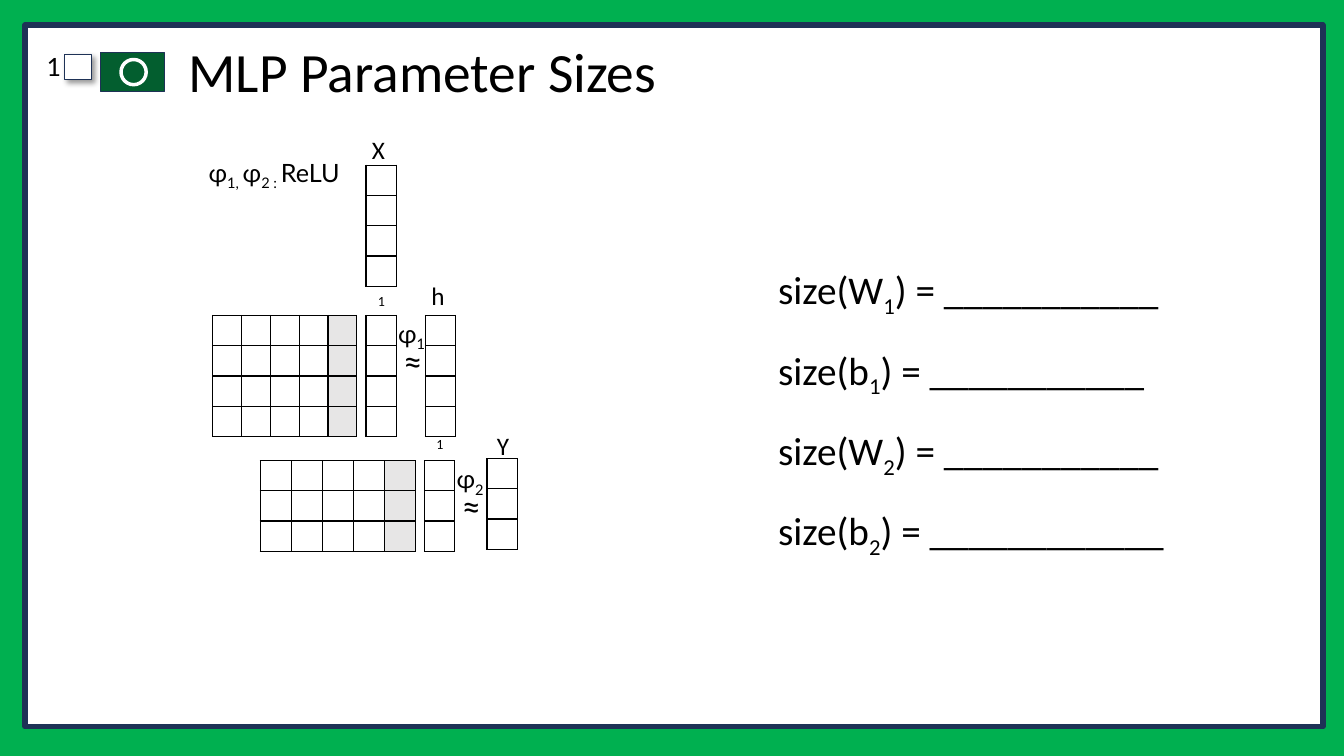
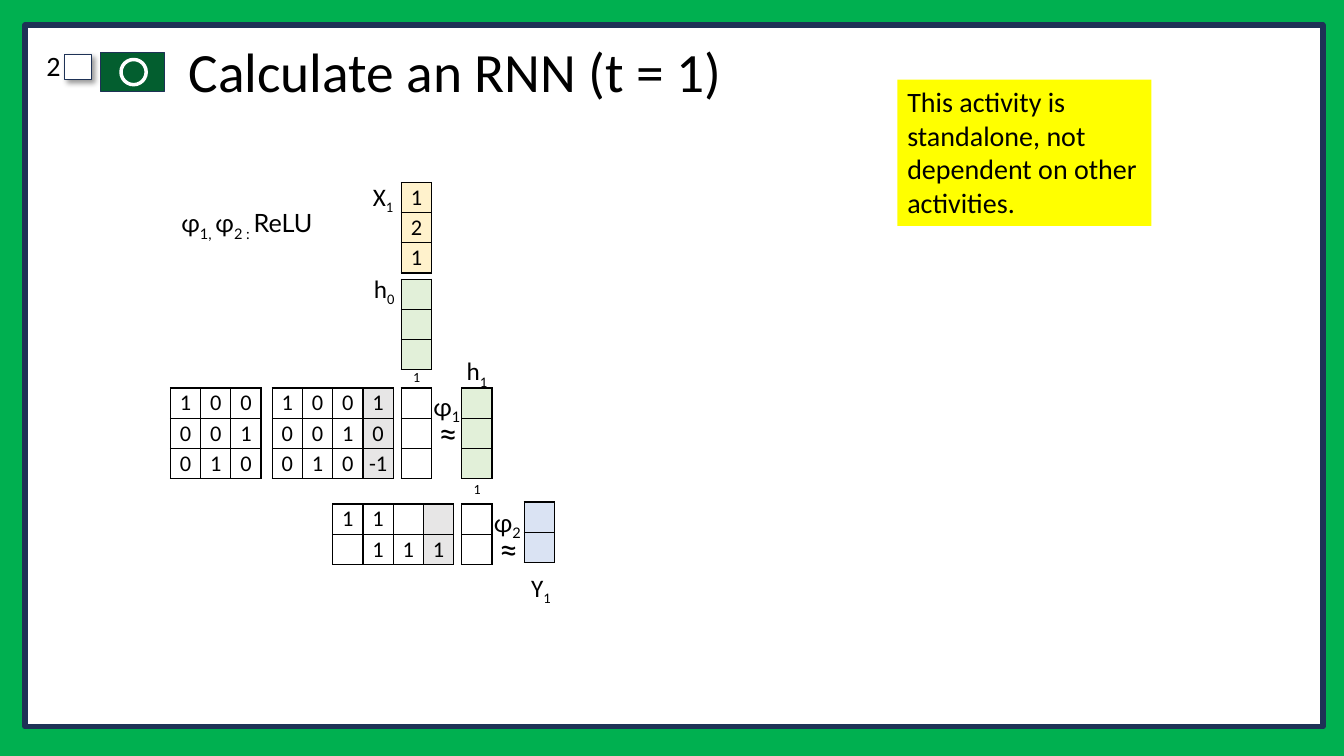
from dataclasses import dataclass

from lxml.etree import SubElement
from pptx import Presentation
from pptx.dml.color import RGBColor as RGB
from pptx.enum.shapes import MSO_SHAPE as SHAPE
from pptx.enum.text import MSO_ANCHOR as ANCHOR, MSO_AUTO_SIZE as AUTO, PP_ALIGN as ALIGN
from pptx.oxml.ns import qn
from pptx.util import Inches, Pt


@dataclass(frozen=True)
class Theme:
    # Colours
    back: str = "00B050"
    paper: str = "FFFFFF"
    navy: str = "1E3256"
    badge: str = "035E2F"
    ink: str = "000000"
    bias: str = "E7E6E6"
    x_fill: str = "FFF2CC"
    h_fill: str = "E2F0D9"
    y_fill: str = "DAE3F3"
    note: str = "FFFF00"
    # Fonts and type sizes
    font: str = "Calibri"
    math_font: str = "Lato"
    title: float = 39.6
    formula: int = 28
    approx: int = 24
    body: int = 20
    label: int = 18
    cell: int = 16
    tiny: int = 10


CELL = 0.3


def rgb(code):
    return RGB.from_string(code)


def blank(rows, cols=1):
    return [[""] * cols for _ in range(rows)]


def digits(*rows):
    """Split rows of space-separated values; a dot is an empty cell."""
    return [[v.replace(".", "") for v in row.split()] for row in rows]


class Deck:
    def __init__(self, theme):
        self.t = theme
        self.prs = Presentation()
        self.prs.slide_width, self.prs.slide_height = Inches(13.33), Inches(7.5)
        self.layout = self.prs.slide_layouts[5]
        self.s = None

    # Slide and shared frame
    def slide(self, title):
        self.s = self.prs.slides.add_slide(self.layout)
        if len(self.prs.slides) == 1:
            self.frame()
        sp = self.s.shapes.title
        sp.left, sp.top, sp.width, sp.height = map(Inches, (1.77, 0.4, 10.65, 0.68))
        tf = sp.text_frame
        tf.auto_size, tf.vertical_anchor = AUTO.NONE, ANCHOR.MIDDLE
        p = tf.paragraphs[0]
        p.alignment, p.line_spacing = ALIGN.LEFT, 0.9
        self.runs(p, title, self.t.title)

    def frame(self):
        """Draw the frame, then move it to the layout that all slides use."""
        t = self.t
        fill = self.layout.background.fill
        fill.solid()
        fill.fore_color.rgb = rgb(t.back)
        paper = self.shape(SHAPE.RECTANGLE, 0.25, 0.25, 12.87, 6.96, t.paper, t.navy, 4)
        box = self.shape(SHAPE.RECTANGLE, 0.64, 0.54, 0.27, 0.25, t.paper, t.navy, 1)
        self.shadow(box)
        badge = self.shape(SHAPE.RECTANGLE, 1, 0.52, 0.63, 0.39, t.badge, t.navy, 1)
        ring = self.shape(SHAPE.OVAL, 1.2, 0.59, 0.25, 0.25, t.badge, t.paper, 2.5)
        number = self.page_number()
        for i, sp in enumerate((paper, box, badge, ring, number)):
            sp.element.nvSpPr.cNvPr.set("id", str(100 + i))
            self.layout.shapes.element.append(sp.element)

    def page_number(self):
        sp = self.text(0, 0.47, 0.7, 0.45, "", self.t.body, spacing=0.9)
        sp.text_frame.auto_size = AUTO.NONE
        p = sp.text_frame.paragraphs[0]
        p.alignment = ALIGN.RIGHT
        fld = SubElement(p._p, qn("a:fld"), type="slidenum",
                         id="{B6F15528-21DE-4FAA-801E-634DDDAF4B2B}")
        rPr = SubElement(fld, qn("a:rPr"), lang="en-US", sz=str(self.t.body * 100))
        color = SubElement(rPr, qn("a:solidFill"))
        SubElement(color, qn("a:srgbClr"), val=self.t.ink)
        SubElement(rPr, qn("a:latin"), typeface=self.t.font)
        SubElement(fld, qn("a:t")).text = "‹#›"
        return sp

    # Shapes
    def shape(self, kind, x, y, w, h, fill, line, width):
        sp = self.s.shapes.add_shape(kind, *map(Inches, (x, y, w, h)))
        sp.shadow.inherit = False
        sp.fill.solid()
        sp.fill.fore_color.rgb = rgb(fill)
        sp.line.color.rgb = rgb(line)
        sp.line.width = Pt(width)
        return sp

    def shadow(self, sp):
        effects = sp.element.spPr.find(qn("a:effectLst"))
        outer = SubElement(effects, qn("a:outerShdw"), blurRad=str(Pt(4)),
                           dist=str(Pt(3)), dir=str(45 * 60000), algn="tl")
        color = SubElement(outer, qn("a:srgbClr"), val=self.t.ink)
        SubElement(color, qn("a:alpha"), val="40000")

    # Text
    def runs(self, p, text, size, font=None):
        """Add runs; parts between tildes are subscripts."""
        for i, part in enumerate(text.split("~")):
            if not part:
                continue
            r = p.add_run()
            r.text = part
            r.font.size, r.font.name = Pt(size), font or self.t.font
            r.font.color.rgb = rgb(self.t.ink)
            if i % 2:
                r._r.get_or_add_rPr().set("baseline", "-25000")

    def text(self, x, y, w, h, text, size, font=None, wrap=True, spacing=None):
        sp = self.s.shapes.add_textbox(*map(Inches, (x, y, w, h)))
        tf = sp.text_frame
        tf.word_wrap, tf.auto_size = wrap, AUTO.SHAPE_TO_FIT_TEXT
        for i, line in enumerate(text.split("\n")):
            p = tf.add_paragraph() if i else tf.paragraphs[0]
            p.line_spacing = spacing
            self.runs(p, line, size, font)
        return sp

    def label(self, x, y, text, w=0.33):
        self.text(x, y, w, 0.4, text, self.t.label, wrap=False)

    def activations(self, x, y):
        self.text(x, y, 1.82, 0.4, "ɸ~1, ~ɸ~2 : ~ReLU", self.t.label, self.t.math_font)

    def note(self, x, y, w, h, text):
        sp = self.text(x, y, w, h, text, self.t.body)
        sp.fill.solid()
        sp.fill.fore_color.rgb = rgb(self.t.note)

    # Matrices
    def matrix(self, x, y, values, fill=None, bias=False, w=None):
        """Draw a grid of cells; bias shades the last column."""
        rows, cols = len(values), len(values[0])
        size = (w or cols * CELL, rows * CELL)
        table = self.s.shapes.add_table(rows, cols, *map(Inches, (x, y, *size))).table
        table.first_row = table.horz_banding = False
        for i, row in enumerate(values):
            for j, value in enumerate(row):
                shade = self.t.bias if bias and j == cols - 1 else fill
                self.cell(table.cell(i, j), value, shade)

    def cell(self, c, value, fill):
        c.margin_left = c.margin_right = c.margin_top = c.margin_bottom = 0
        c.vertical_anchor = ANCHOR.MIDDLE
        p = c.text_frame.paragraphs[0]
        p.alignment = ALIGN.CENTER
        self.runs(p, value, self.t.cell)
        if not value:
            SubElement(p._p, qn("a:endParaRPr"), sz=str(self.t.cell * 100))
        tcPr = c._tc.get_or_add_tcPr()
        for side in ("lnL", "lnR", "lnT", "lnB"):
            ln = SubElement(tcPr, qn(f"a:{side}"), w=str(Pt(1)))
            color = SubElement(ln, qn("a:solidFill"))
            SubElement(color, qn("a:srgbClr"), val=self.t.ink)
        if fill:
            c.fill.solid()
            c.fill.fore_color.rgb = rgb(fill)
        else:
            c.fill.background()

    def layer(self, n, x, y, rows, one_y, out, fill=None):
        """Draw a pre-activation column, its ɸ, its output at `out` and the bias 1."""
        self.matrix(x, y, blank(rows))
        self.matrix(*out, blank(rows), fill)
        self.text(x + 0.22, y - 0.02, 0.51, 0.4, f"ɸ~{n}~", self.t.label, self.t.math_font)
        self.text(x + 0.27, y + 0.2, 0.32, 0.5, "≈", self.t.approx, self.t.math_font)
        self.text(x + 0.02, one_y, 0.27, 0.27, "1", self.t.tiny, wrap=False)


def mlp_sizes(d):
    d.slide("MLP Parameter Sizes")
    d.activations(1.97, 1.51)
    # Input and hidden layer
    d.label(3.59, 1.28, "X")
    d.matrix(3.63, 1.64, blank(4))
    d.matrix(2.11, 3.13, blank(4, 5), bias=True, w=1.43)
    d.layer(1, 3.63, 3.13, 4, 2.85, out=(4.22, 3.13))
    d.label(4.18, 2.73, "h")
    # Output layer
    d.matrix(2.58, 4.57, blank(3, 5), bias=True, w=1.54)
    d.layer(2, 4.21, 4.57, 3, 4.27, out=(4.83, 4.55))
    d.label(4.83, 4.22, "Y")
    # Sizes to fill in
    blanks = (("W~1~", 11), ("b~1~", 11), ("W~2~", 11), ("b~2~", 12))
    lines = "\n".join(f"size({name}) = {'_' * n}" for name, n in blanks)
    d.text(7.62, 2.32, 4.1, 2.86, lines, d.t.formula, wrap=False, spacing=1.5)


def rnn_step(d):
    d.slide("Calculate an RNN (t = 1)")
    d.activations(1.7, 2.01)
    # Input and previous state
    d.label(3.6, 1.75, "X~1~", 0.42)
    d.matrix(3.98, 1.81, digits("1", "2", "1"), d.t.x_fill)
    d.label(3.61, 2.66, "h~0~", 0.42)
    d.matrix(3.98, 2.77, blank(3), d.t.h_fill)
    # Hidden layer
    d.matrix(1.69, 3.85, digits("1 0 0", "0 0 1", "0 1 0"))
    d.matrix(2.7, 3.85, digits("1 0 0 1", "0 0 1 0", "0 1 0 -1"), bias=True)
    d.layer(1, 3.98, 3.85, 3, 3.61, out=(4.58, 3.85), fill=d.t.h_fill)
    d.label(4.53, 3.48, "h~1~", 0.42)
    # Output layer
    d.matrix(3.3, 5, digits("1 1 . .", ". 1 1 1"), bias=True)
    d.layer(2, 4.58, 5, 2, 4.72, out=(5.2, 4.98), fill=d.t.y_fill)
    d.label(5.17, 5.63, "Y~1~", 0.41)
    d.note(8.9, 0.79, 2.52, 1.45,
           "This activity is standalone, not dependent on other activities.")


def main():
    d = Deck(Theme())
    mlp_sizes(d)
    rnn_step(d)
    d.prs.save("out.pptx")


if __name__ == "__main__":
    main()
